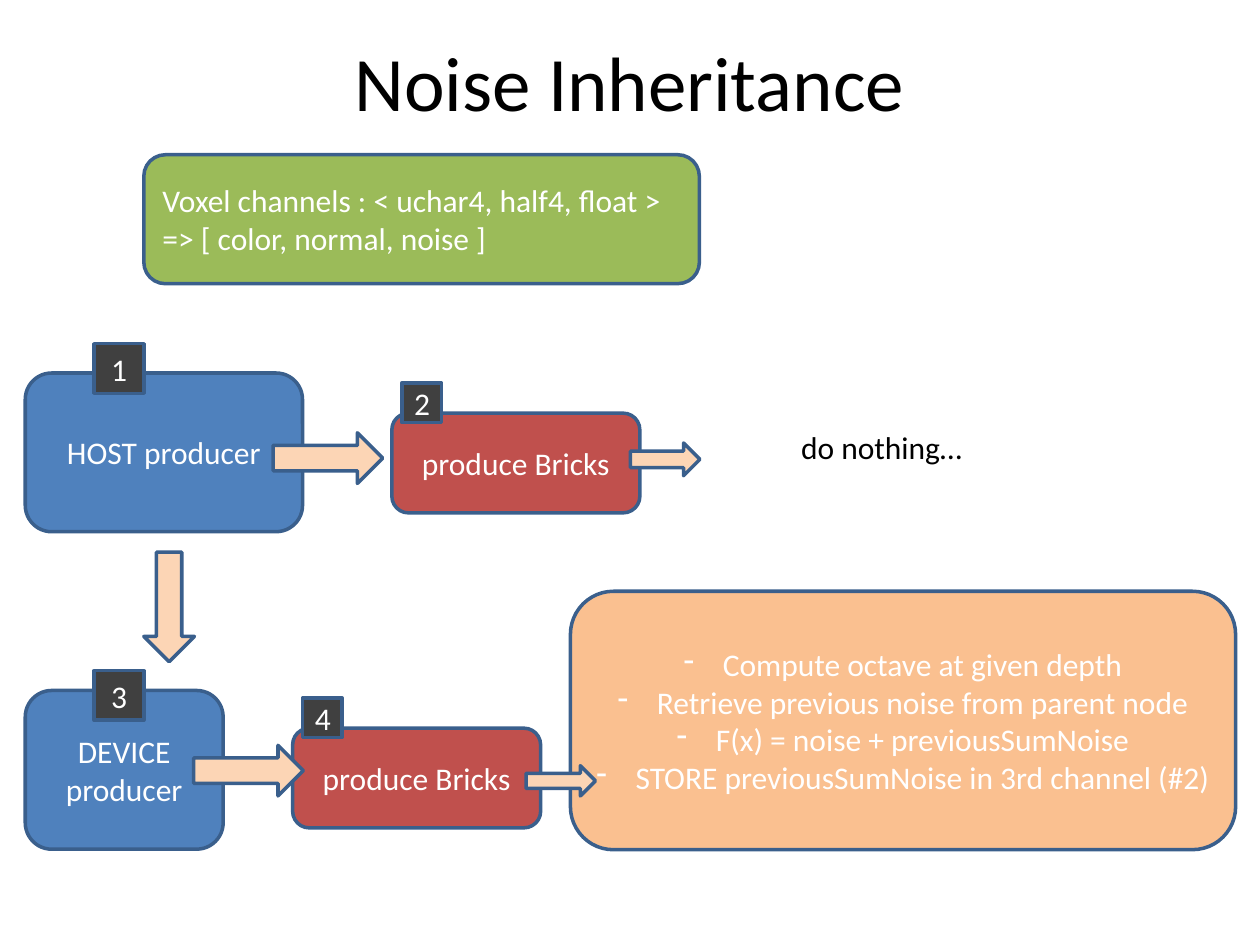
from dataclasses import dataclass

from lxml import etree
from pptx import Presentation
from pptx.dml.color import RGBColor
from pptx.enum.shapes import MSO_SHAPE
from pptx.enum.text import MSO_ANCHOR, PP_ALIGN
from pptx.oxml.ns import qn
from pptx.util import Cm, Pt

ROUNDED = MSO_SHAPE.ROUNDED_RECTANGLE
SQUARE = MSO_SHAPE.RECTANGLE
DOWN_ARROW = MSO_SHAPE.DOWN_ARROW
LEFT, CENTER = PP_ALIGN.LEFT, PP_ALIGN.CENTER
TOP, MIDDLE = MSO_ANCHOR.TOP, MSO_ANCHOR.MIDDLE


@dataclass(frozen=True)
class Theme:
    font: str = "Calibri"
    title_size: int = 44
    body_size: int = 18
    line_width: int = 2
    bullet_indent: float = 0.79
    dark: str = "000000"
    light: str = "FFFFFF"
    outline: str = "3A5F8C"
    producer: str = "4F81BD"
    bricks: str = "C0504D"
    noise: str = "FAC090"
    arrow: str = "FCD5B5"
    badge: str = "404040"
    channels: str = "9BBB59"


THEME = Theme()


def add_dash(paragraph):
    """Give a paragraph a dash bullet with a hanging indent."""
    props = paragraph._p.get_or_add_pPr()
    indent = Cm(THEME.bullet_indent)
    props.set("marL", str(indent))
    props.set("indent", str(-indent))
    etree.SubElement(props, qn("a:buChar")).set("char", "-")


def write(frame, text, size=THEME.body_size, color=THEME.light, align=CENTER,
          anchor=MIDDLE, wrap=True, dashes=False):
    frame.word_wrap = wrap
    frame.vertical_anchor = anchor
    for index, line in enumerate(text.split("\n")):
        paragraph = frame.paragraphs[0] if index == 0 else frame.add_paragraph()
        if dashes:
            add_dash(paragraph)
        paragraph.alignment = align
        run = paragraph.add_run()
        run.text = line
        run.font.name = THEME.font
        run.font.size = Pt(size)
        run.font.color.rgb = RGBColor.from_string(color)


class NoiseSlide:
    def __init__(self, slide, theme):
        self.slide = slide
        self.theme = theme

    def shape(self, kind, left, top, width, height, fill):
        shape = self.slide.shapes.add_shape(
            kind, Cm(left), Cm(top), Cm(width), Cm(height))
        shape.shadow.inherit = False
        shape.fill.solid()
        shape.fill.fore_color.rgb = RGBColor.from_string(fill)
        shape.line.color.rgb = RGBColor.from_string(self.theme.outline)
        shape.line.width = Pt(self.theme.line_width)
        return shape

    def box(self, text, left, top, width, height, fill, **text_format):
        box = self.shape(ROUNDED, left, top, width, height, fill)
        write(box.text_frame, text, **text_format)

    def badge(self, number, left, top, side):
        badge = self.shape(SQUARE, left, top, side, side, self.theme.badge)
        write(badge.text_frame, str(number))

    def arrow(self, left, top, width, length, rotation=270):
        arrow = self.shape(DOWN_ARROW, left, top, width, length, self.theme.arrow)
        arrow.rotation = rotation

    def label(self, text, left, top, width, height, **text_format):
        label = self.slide.shapes.add_textbox(
            Cm(left), Cm(top), Cm(width), Cm(height))
        write(label.text_frame, text, color=self.theme.dark, **text_format)


def main():
    deck = Presentation()
    deck.slide_width, deck.slide_height = Cm(25.4), Cm(19.05)
    page = NoiseSlide(deck.slides.add_slide(deck.slide_layouts[6]), THEME)

    # Title
    page.label("Noise Inheritance", 1.9, 0.53, 21.59, 2.21, size=THEME.title_size)

    # Producers
    page.box("HOST producer", 0.51, 7.52, 5.59, 3.2, THEME.producer)
    page.box("DEVICE producer", 0.51, 13.92, 3.99, 3.2, THEME.producer)

    # Brick production
    for left, top in ((7.9, 8.33), (5.9, 14.68)):
        page.box("produce Bricks", left, top, 5, 2.01, THEME.bricks)

    # Noise computation
    page.box("Compute octave at given depth\n"
             "Retrieve previous noise from parent node\n"
             "F(x) = noise + previousSumNoise\n"
             "STORE previousSumNoise in 3rd channel (#2)",
             11.5, 11.92, 13.41, 5.21, THEME.noise, dashes=True)

    # Flow arrows: from the producers, then from the bricks
    for left, top, rotation in ((6.1, 8.13, 270), (4.5, 14.43, 270), (2.9, 11.13, 0)):
        page.arrow(left, top, 1.02, 2.21, rotation)
    page.arrow(11, 15.04, 0.61, 1.4)
    page.arrow(13.08, 8.56, 0.66, 1.4)

    # Step numbers
    for number, left, top, side in ((1, 1.9, 6.93, 1), (3, 1.9, 13.52, 1),
                                    (2, 8.1, 7.72, 0.8), (4, 6.1, 14.07, 0.8)):
        page.badge(number, left, top, side)

    # Host result
    page.label("do nothing…", 15.9, 8.51, 3.78, 1.02,
               align=LEFT, anchor=TOP, wrap=False)

    # Voxel channels
    page.box("Voxel channels : < uchar4, half4, float >\n=> [ color, normal, noise ]",
             2.9, 3.12, 11.2, 2.6, THEME.channels, align=LEFT)

    deck.save("out.pptx")


if __name__ == "__main__":
    main()
